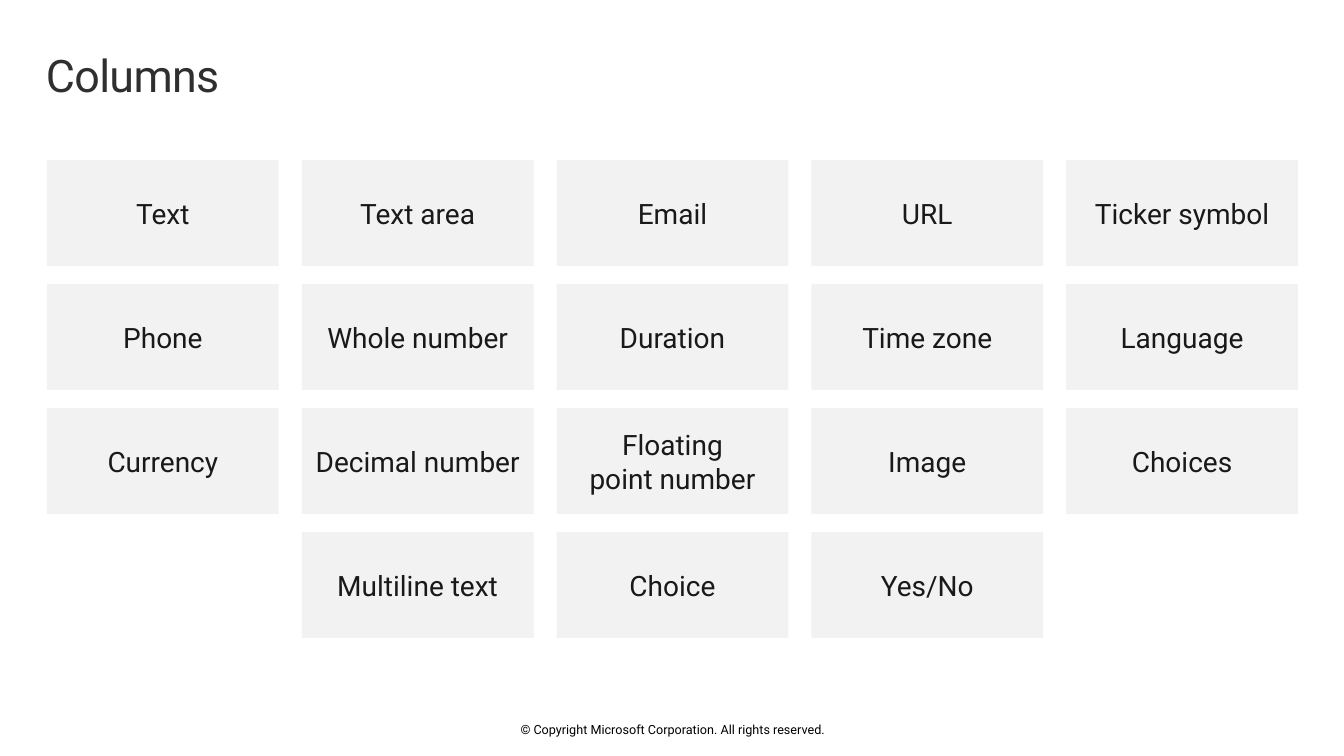
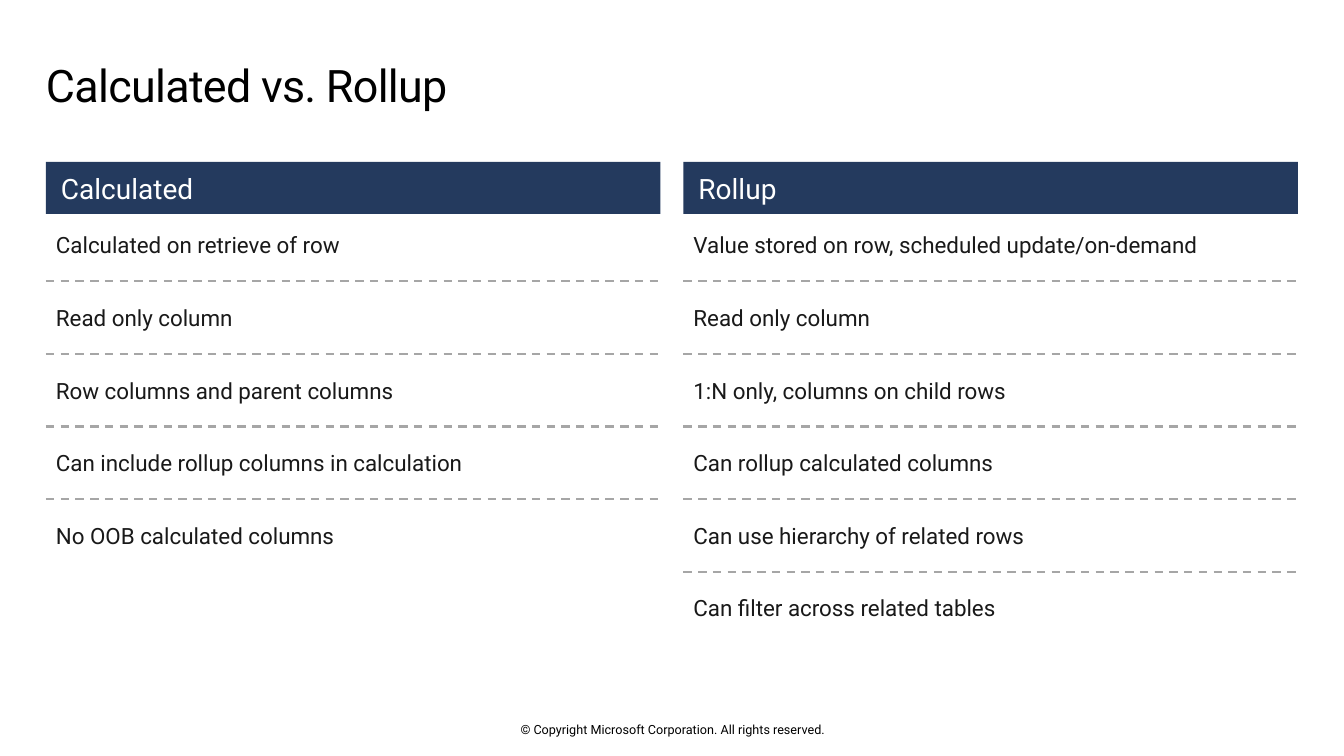
import lxml.etree
import pptx
import pptx.dml.color
import pptx.enum.dml
import pptx.enum.shapes
import pptx.enum.text
import pptx.oxml.ns
import pptx.util

RGBColor = pptx.dml.color.RGBColor
ALIGN = pptx.enum.text.PP_ALIGN
ANCHOR = pptx.enum.text.MSO_ANCHOR

PX = 914400 / 100.8
SLIDE_W, SLIDE_H = 1344, 756
FONT = "Roboto"

BLACK = RGBColor(0x00, 0x00, 0x00)
WHITE = RGBColor(0xFF, 0xFF, 0xFF)
CHARCOAL = RGBColor(0x2F, 0x2F, 0x2F)
INK = RGBColor(0x19, 0x19, 0x19)
TILE_GREY = RGBColor(0xF2, 0xF2, 0xF2)
NAVY = RGBColor(0x24, 0x3A, 0x5E)
RULE_GREY = RGBColor(0xA6, 0xA6, 0xA6)

COPYRIGHT = "© Copyright Microsoft Corporation. All rights reserved."

# None leaves a place in the grid empty; \v breaks a line.
COLUMN_TYPES = [
    ["Text", "Text area", "Email", "URL", "Ticker symbol"],
    ["Phone", "Whole number", "Duration", "Time zone", "Language"],
    ["Currency", "Decimal number", "Floating\vpoint number", "Image", "Choices"],
    [None, "Multiline text", "Choice", "Yes/No", None],
]

COMPARISON = {
    "Calculated": [
        "Calculated on retrieve of row",
        "Read only column",
        "Row columns and parent columns",
        "Can include rollup columns in calculation",
        "No OOB calculated columns",
    ],
    "Rollup": [
        "Value stored on row, scheduled update/on-demand",
        "Read only column",
        "1:N only, columns on child rows",
        "Can rollup calculated columns",
        "Can use hierarchy of related rows",
        "Can filter across related tables",
    ],
}


def px(length):
    return pptx.util.Emu(round(length * PX))


def write(shape, text, size, color, align=ALIGN.LEFT, anchor=ANCHOR.MIDDLE,
          insets=(10, 5)):
    """Fill a shape with one styled paragraph; insets are (sides, top and bottom)."""
    frame = shape.text_frame
    frame.word_wrap = True
    frame.vertical_anchor = anchor
    frame.margin_left = frame.margin_right = px(insets[0])
    frame.margin_top = frame.margin_bottom = px(insets[1])
    frame.text = text
    paragraph = frame.paragraphs[0]
    paragraph.alignment = align
    paragraph.font.name = FONT
    paragraph.font.size = pptx.util.Pt(size)
    paragraph.font.color.rgb = color
    return paragraph


def add_label(slide, box, *args, **style):
    return write(slide.shapes.add_textbox(*map(px, box)), *args, **style)


def add_panel(slide, box, fill, *args, **style):
    panel = slide.shapes.add_shape(
        pptx.enum.shapes.MSO_SHAPE.RECTANGLE, *map(px, box))
    panel.shadow.inherit = False
    panel.fill.solid()
    panel.fill.fore_color.rgb = fill
    panel.line.fill.background()
    write(panel, *args, **style)


def add_dashed_rule(slide, left, y, width):
    rule = slide.shapes.add_connector(
        pptx.enum.shapes.MSO_CONNECTOR.STRAIGHT,
        px(left), px(y), px(left + width), px(y))
    rule.line.color.rgb = RULE_GREY
    rule.line.width = pptx.util.Pt(1.5)
    rule.line.dash_style = pptx.enum.dml.MSO_LINE.DASH
    lxml.etree.SubElement(
        rule._element.spPr, pptx.oxml.ns.qn("a:effectLst"))


def start_slide(deck, title, title_top, title_color):
    """Add a blank slide with the shared title style and copyright footer."""
    slide = deck.slides.add_slide(deck.slide_layouts[6])
    add_label(slide, (446, 722, 453, 15), COPYRIGHT, 9, BLACK,
              align=ALIGN.CENTER, insets=(0, 0))
    heading = add_label(slide, (46, title_top, 1250, 55), title, 32, title_color,
                        anchor=ANCHOR.TOP, insets=(0, 0))
    heading.runs[0]._r.get_or_add_rPr().set("spc", "-50")
    return slide


def add_tile_grid(slide, box, rows, gap_x=23, gap_y=18):
    left, top, width, height = box
    pitch_x = (width + gap_x) / len(rows[0])
    pitch_y = (height + gap_y) / len(rows)
    for row, names in enumerate(rows):
        for column, name in enumerate(names):
            if name:
                tile = (left + column * pitch_x, top + row * pitch_y,
                        pitch_x - gap_x, pitch_y - gap_y)
                add_panel(slide, tile, TILE_GREY, name, 20, INK,
                          align=ALIGN.CENTER, insets=(10, 10))


def add_comparison_list(slide, box, heading, items, slots):
    """Draw a headed list whose items share the box height in equal slots."""
    left, top, width, height = box
    header_h, header_gap, item_h = 52, 4, 54
    add_panel(slide, (left, top, width, header_h), NAVY, heading, 20, WHITE,
              insets=(15, 8))
    first_top = top + header_h + header_gap
    pitch = (top + height - first_top - item_h) / (slots - 1)
    for index, item in enumerate(items):
        item_top = first_top + index * pitch
        if index:
            add_dashed_rule(slide, left, item_top - (pitch - item_h) / 2, width)
        add_label(slide, (left, item_top, width, item_h), item, 16, INK)


def add_comparison(slide, box, lists, gap=23):
    left, top, width, height = box
    list_w = (width - gap * (len(lists) - 1)) / len(lists)
    slots = max(map(len, lists.values()))
    for index, (heading, items) in enumerate(lists.items()):
        list_box = (left + index * (list_w + gap), top, list_w, height)
        add_comparison_list(slide, list_box, heading, items, slots)


def main():
    deck = pptx.Presentation()
    deck.slide_width, deck.slide_height = px(SLIDE_W), px(SLIDE_H)

    columns = start_slide(deck, "Columns", 48, CHARCOAL)
    add_tile_grid(columns, (47, 160, 1251, 478), COLUMN_TYPES)

    versus = start_slide(deck, "Calculated vs. Rollup", 58, BLACK)
    add_comparison(versus, (46, 162, 1252, 473), COMPARISON)

    deck.save("out.pptx")


if __name__ == "__main__":
    main()
